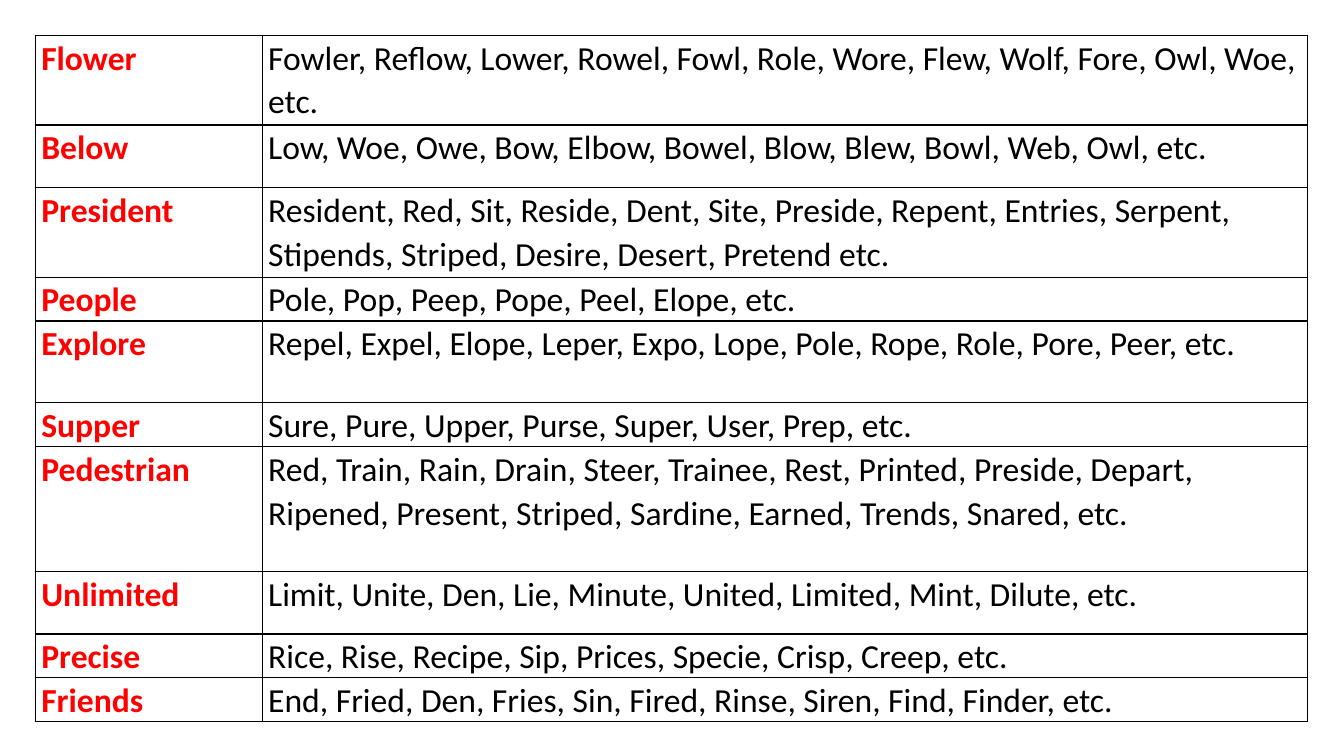
"""Builds a one-slide deck with a table of words hidden inside longer words."""

from lxml import etree
from pptx import Presentation
from pptx.dml.color import RGBColor
from pptx.enum.text import MSO_ANCHOR, PP_ALIGN
from pptx.oxml.ns import qn
from pptx.util import Pt

LEFT = PP_ALIGN.LEFT
TOP = MSO_ANCHOR.TOP
PX = 9144
SLIDE_SIZE = (1333, 750)
TABLE_ORIGIN = (35, 35)
COLUMN_WIDTHS = (225, 1037)
SIDE_MARGIN = 6
FONT = "Calibri"
FONT_SIZE = Pt(24)
LINE_SPACING = 1.07
BORDER_WIDTH = Pt(1)
COLORS = {"source": "FF0000", "found": "000000", "border": "000000"}

WORD_ROWS = [
    (89, "Flower", "Fowler, Reflow, Lower, Rowel, Fowl, Role, Wore, Flew, Wolf, Fore, Owl, Woe, etc."),
    (62, "Below", "Low, Woe, Owe, Bow, Elbow, Bowel, Blow, Blew, Bowl, Web, Owl, etc."),
    (89, "President", "Resident, Red, Sit, Reside, Dent, Site, Preside, Repent, Entries, Serpent, "
                      "Stipends, Striped, Desire, Desert, Pretend etc."),
    (43, "People", "Pole, Pop, Peep, Pope, Peel, Elope, etc."),
    (81, "Explore", "Repel, Expel, Elope, Leper, Expo, Lope, Pole, Rope, Role, Pore, Peer, etc."),
    (43, "Supper", "Sure, Pure, Upper, Purse, Super, User, Prep, etc."),
    (124, "Pedestrian", "Red, Train, Rain, Drain, Steer, Trainee, Rest, Printed, Preside, Depart, "
                        "Ripened, Present, Striped, Sardine, Earned, Trends, Snared, etc."),
    (62, "Unlimited", "Limit, Unite, Den, Lie, Minute, United, Limited, Mint, Dilute, etc."),
    (43, "Precise", "Rice, Rise, Recipe, Sip, Prices, Specie, Crisp, Creep, etc."),
    (43, "Friends", "End, Fried, Den, Fries, Sin, Fired, Rinse, Siren, Find, Finder, etc."),
]


def px(length):
    """Turn a length in px into EMU."""
    return length * PX


def add_borders(cell):
    """Draw a solid line on all four sides of a cell."""
    properties = cell._tc.get_or_add_tcPr()
    for side in ("a:lnL", "a:lnR", "a:lnT", "a:lnB"):
        line = etree.SubElement(properties, qn(side), w=str(BORDER_WIDTH))
        fill = etree.SubElement(line, qn("a:solidFill"))
        etree.SubElement(fill, qn("a:srgbClr"), val=COLORS["border"])


def fill_cell(cell, text, color, bold):
    """Write one text into a bordered, unfilled cell."""
    add_borders(cell)
    cell.fill.background()
    cell.margin_left = cell.margin_right = px(SIDE_MARGIN)
    cell.margin_top = cell.margin_bottom = 0
    cell.vertical_anchor = TOP
    cell.text = text
    para = cell.text_frame.paragraphs[0]
    para.alignment = LEFT
    para.line_spacing = LINE_SPACING
    para.font.name = FONT
    para.font.size = FONT_SIZE
    para.font.bold = bold
    para.font.color.rgb = RGBColor.from_string(COLORS[color])


def add_word_table(page):
    """Add the table of source words and the words found in them."""
    left, top = TABLE_ORIGIN
    width = sum(COLUMN_WIDTHS)
    height = sum(row_height for row_height, _, _ in WORD_ROWS)
    frame = page.shapes.add_table(
        len(WORD_ROWS), len(COLUMN_WIDTHS), px(left), px(top), px(width), px(height)
    )
    table = frame.table
    table.first_row = False
    table.horz_banding = False
    for column, column_width in zip(table.columns, COLUMN_WIDTHS):
        column.width = px(column_width)
    for row, (row_height, source, found) in zip(table.rows, WORD_ROWS):
        row.height = px(row_height)
        fill_cell(row.cells[0], source, "source", True)
        fill_cell(row.cells[1], found, "found", False)


def main():
    """Build and save the deck."""
    deck = Presentation()
    deck.slide_width, deck.slide_height = map(px, SLIDE_SIZE)
    page = deck.slides.add_slide(deck.slide_layouts[6])
    add_word_table(page)
    deck.save("out.pptx")


if __name__ == "__main__":
    main()
